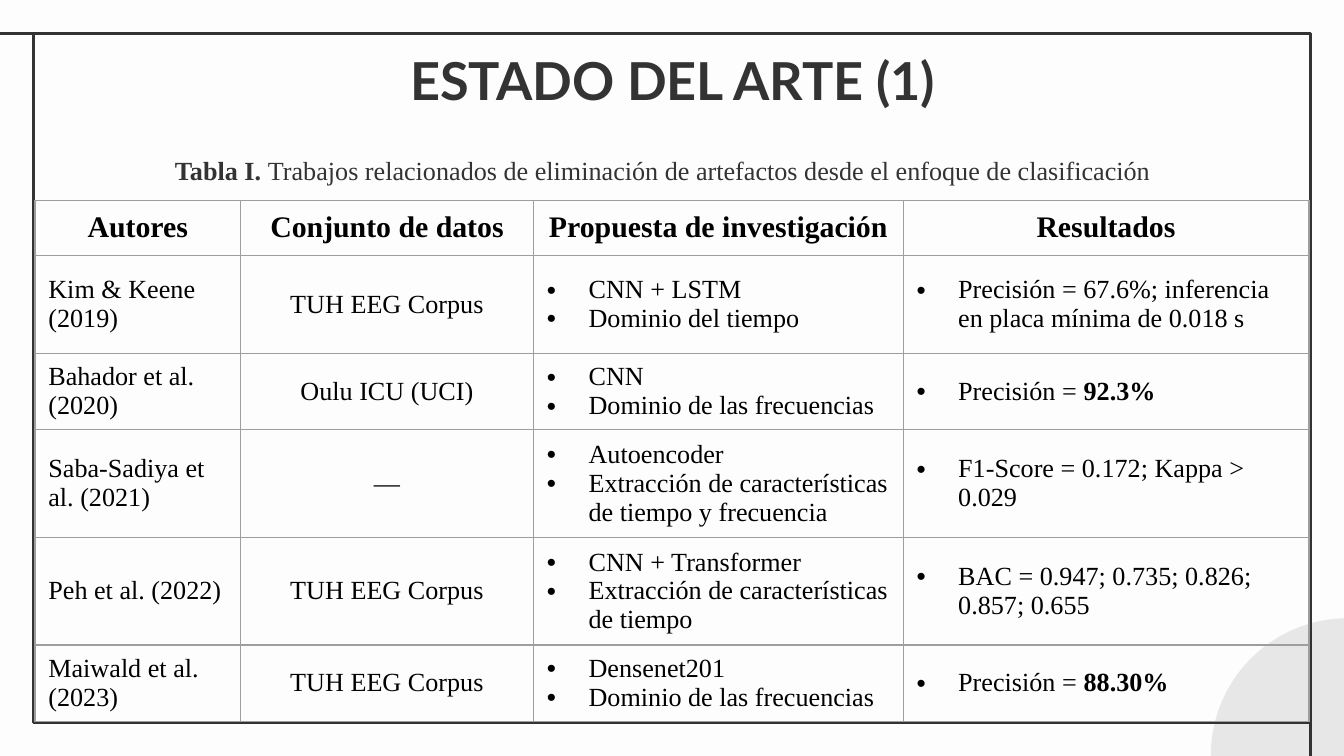
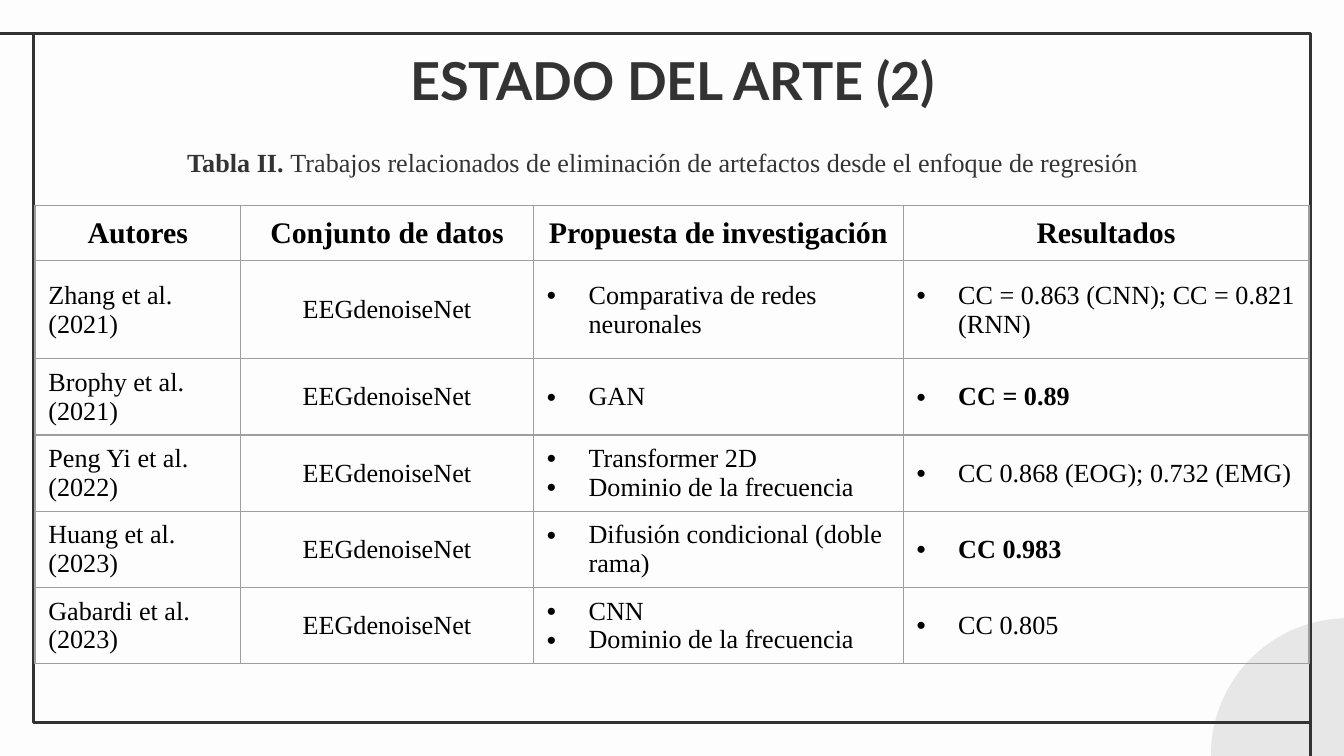
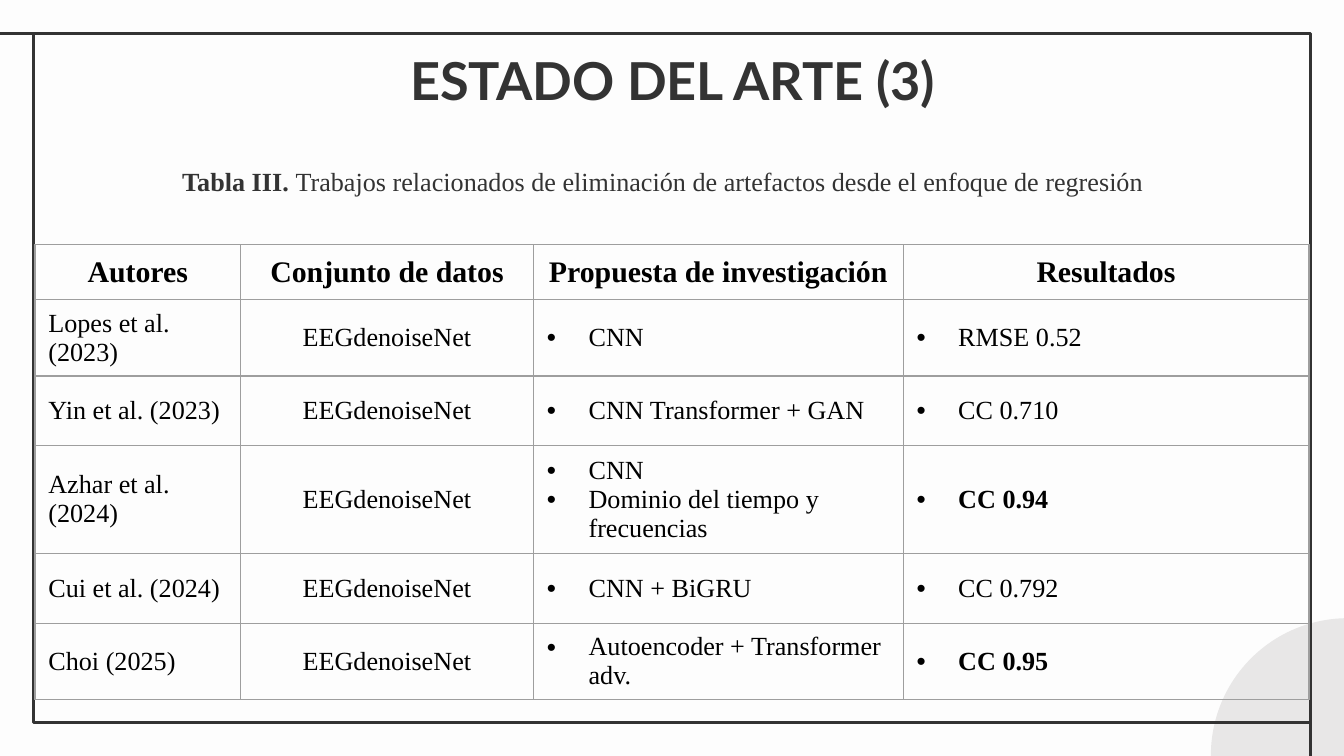
"""Build three slides of related work, each a framed table with title and caption."""
from lxml import etree
from pptx import Presentation
from pptx.dml.color import RGBColor
from pptx.enum.shapes import MSO_CONNECTOR, MSO_SHAPE
from pptx.enum.text import MSO_ANCHOR, PP_ALIGN
from pptx.oxml import parse_xml
from pptx.oxml.ns import nsdecls, qn
from pptx.util import Inches, Pt

LEFT, MID = PP_ALIGN.LEFT, PP_ALIGN.CENTER
TOP, CORE = MSO_ANCHOR.TOP, MSO_ANCHOR.MIDDLE
LINE = MSO_CONNECTOR.STRAIGHT
RECT, OVAL = MSO_SHAPE.RECTANGLE, MSO_SHAPE.OVAL
INK, PAPER, MIST, RULE, BLACK = "333333", "FDFDFD", "E8E7E7", "9E9E9E", "000000"
SANS, SERIF = "Lato", "Times New Roman"
WIDE = Inches(10)
HIGH = WIDE * 9 // 16
UNIT = WIDE / 100

HEADS = ["Autores", "Conjunto de datos", "Propuesta de investigación", "Resultados"]
COLS = [15.3, 21.8, 27.5, 30.2]
TUH, NET = "TUH EEG Corpus", "EEGdenoiseNet"
TOPIC = "Trabajos relacionados de eliminación de artefactos desde el enfoque de "

PAGES = [
    ("*Tabla I. *" + TOPIC + "clasificación", 11, 14.9, 7.3, [
        ("Kim & Keene (2019)", TUH, ["CNN + LSTM", "Dominio del tiempo"],
         ["Precisión = 67.6%; inferencia en placa mínima de 0.018 s"]),
        ("Bahador et al. (2020)", "Oulu ICU (UCI)",
         ["CNN", "Dominio de las frecuencias"], ["Precisión = *92.3%*"]),
        ("Saba-Sadiya et al. (2021)", "—",
         ["Autoencoder", "Extracción de características de tiempo y frecuencia"],
         ["F1-Score = 0.172; Kappa > 0.029"]),
        ("Peh et al. (2022)", TUH,
         ["CNN + Transformer", "Extracción de características de tiempo"],
         ["BAC = 0.947; 0.735; 0.826; 0.857; 0.655"]),
        ("Maiwald et al. (2023)", TUH,
         ["Densenet201", "Dominio de las frecuencias"], ["Precisión = *88.30%*"]),
    ]),
    ("*Tabla II. *" + TOPIC + "regresión", 10.4, 15.3, 7.3, [
        ("Zhang et al. (2021)", NET, ["Comparativa de redes neuronales"],
         ["CC = 0.863 (CNN); CC = 0.821 (RNN)"]),
        ("Brophy et al. (2021)", NET, ["GAN"], ["*CC = 0.89*"]),
        ("Peng Yi et al. (2022)", NET, ["Transformer 2D", "Dominio de la frecuencia"],
         ["CC 0.868 (EOG); 0.732 (EMG)"]),
        ("Huang et al. (2023)", NET, ["Difusión condicional (doble rama)"], ["*CC 0.983*"]),
        ("Gabardi et al. (2023)", NET, ["CNN", "Dominio de la frecuencia"], ["CC 0.805"]),
    ]),
    ("*Tabla III. *" + TOPIC + "regresión", 11.8, 18.2, 5.2, [
        ("Lopes et al. (2023)", NET, ["CNN"], ["RMSE 0.52"]),
        ("Yin et al. (2023)", NET, ["CNN Transformer + GAN"], ["CC 0.710"]),
        ("Azhar et al. (2024)", NET, ["CNN", "Dominio del tiempo y frecuencias"],
         ["*CC 0.94*"]),
        ("Cui et al. (2024)", NET, ["CNN + BiGRU"], ["CC 0.792"]),
        ("Choi (2025)", NET, ["Autoencoder + Transformer adv."], ["*CC 0.95*"]),
    ]),
]


def tint(code):
    """Turn a hex string into a colour."""
    return RGBColor.from_string(code)


def write(para, text, size, face, code, align):
    """Add runs to a paragraph; parts between asterisks are bold."""
    para.alignment = align
    for turn, part in enumerate(text.split("*")):
        if part:
            run = para.add_run()
            run.text = part
            run.font.size = Pt(size)
            run.font.name = face
            run.font.bold = turn % 2 == 1
            run.font.color.rgb = tint(code)


deck = Presentation()
deck.slide_width, deck.slide_height = WIDE, HIGH
back = deck.slide_master.background.fill
back.solid()
back.fore_color.rgb = tint(PAPER)

for num, (note, note_y, grid_y, first, works) in enumerate(PAGES, 1):
    slide = deck.slides.add_slide(deck.slide_layouts[6])
    shapes = slide.shapes

    for kind, box in [(OVAL, (90.1, 46, 20.4, 20.4)), (RECT, (2.5, 2.5, 95, 51.25))]:
        shape = shapes.add_shape(kind, *[int(v * UNIT) for v in box])
        shape.shadow.inherit = False
        if kind == OVAL:
            shape.fill.solid()
            shape.fill.fore_color.rgb = tint(MIST)
            shape.line.fill.background()
        else:
            shape.fill.background()
            shape.line.color.rgb = tint(INK)
            shape.line.width = Pt(1.5)

    for ends in [(2.5, 2.5, 0, 2.5), (97.5, 53.75, 97.5, 56.25)]:
        edge = shapes.add_connector(LINE, *[int(v * UNIT) for v in ends])
        edge.line.color.rgb = tint(INK)
        edge.line.width = Pt(1.5)
        etree.SubElement(edge._element.spPr, qn("a:effectLst"))

    for text, box, size, face, inset, anchor in [
        (f"*ESTADO DEL ARTE ({num})*", (7.9, 2.6, 84.3, 6.3), 28, SANS, 1, TOP),
        (note, (7.9, note_y, 82.9, 3.4), 14, SERIF, 0.5, TOP),
    ]:
        frame = shapes.add_textbox(*[int(v * UNIT) for v in box]).text_frame
        frame.word_wrap = True
        frame.vertical_anchor = anchor
        frame.margin_top = frame.margin_bottom = int(inset * UNIT)
        write(frame.paragraphs[0], text, size, face, INK, MID)

    rows = [4.1, first] + [5.2] * 4
    grid = shapes.add_table(len(rows), len(COLS), int(2.6 * UNIT), int(grid_y * UNIT),
                            int(sum(COLS) * UNIT), int(sum(rows) * UNIT)).table
    grid.first_row = grid.horz_banding = False
    for col, span in zip(grid.columns, COLS):
        col.width = int(span * UNIT)
    for row, span in zip(grid.rows, rows):
        row.height = int(span * UNIT)

    for r, work in enumerate([[f"*{head}*" for head in HEADS]] + works):
        for c, item in enumerate(work):
            cell = grid.cell(r, c)
            cell.vertical_anchor = CORE
            for side in ("lnL", "lnR", "lnT", "lnB"):
                cell._tc.get_or_add_tcPr().append(parse_xml(
                    f'<a:{side} {nsdecls("a")} w="{Pt(0.75)}"><a:solidFill>'
                    f'<a:srgbClr val="{RULE}"/></a:solidFill></a:{side}>'))
            cell.fill.background()
            listed = isinstance(item, list)
            frame = cell.text_frame
            for i, text in enumerate(item if listed else [item]):
                para = frame.add_paragraph() if i else frame.paragraphs[0]
                if listed:
                    props = para._p.get_or_add_pPr()
                    props.set("marL", str(int(3.1 * UNIT)))
                    props.set("indent", str(int(-3.1 * UNIT)))
                    color = etree.SubElement(props, qn("a:buClr"))
                    etree.SubElement(color, qn("a:srgbClr"), val=BLACK)
                    etree.SubElement(props, qn("a:buFont"), typeface="Arial")
                    etree.SubElement(props, qn("a:buChar"), char="•")
                write(para, text, 14 if r else 16, SERIF, BLACK,
                      MID if r == 0 or c == 1 else LEFT)

deck.save("out.pptx")
